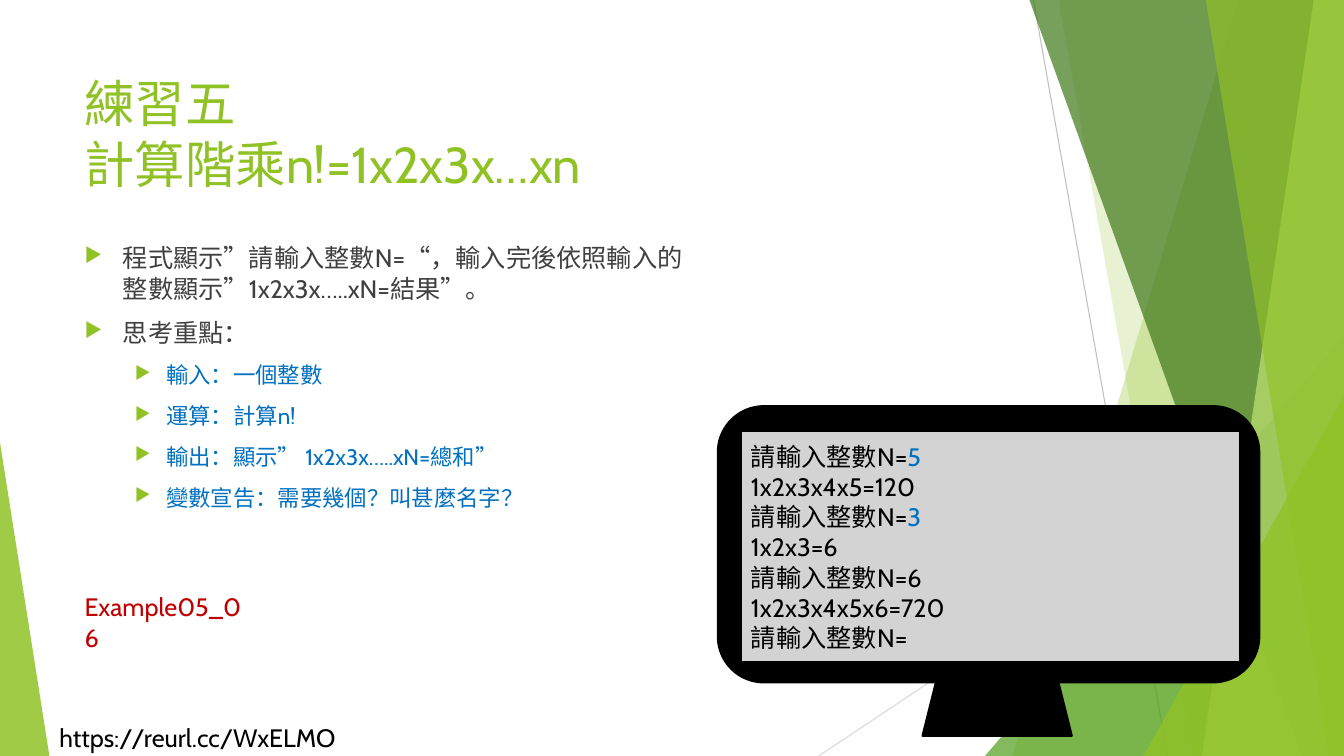
import pptx
import pptx.util
import pptx.dml.color
import pptx.enum.shapes
import pptx.enum.text
import pptx.oxml
import pptx.oxml.ns
from lxml import etree

Inches, Pt = pptx.util.Inches, pptx.util.Pt
MSO_SHAPE = pptx.enum.shapes.MSO_SHAPE
ANCHOR = pptx.enum.text.MSO_ANCHOR
qn = pptx.oxml.ns.qn

FONT = "Cabin"
WIDTH, HEIGHT = 13.33, 7.5
C = {
    "lime": "90C226", "green": "54A021", "forest": "3F7819", "pale": "C0E474",
    "text": "404040", "blue": "0070C0", "red": "C00000", "black": "000000",
    "screen": "D3D3D3", "ray": "BFBFBF", "light_ray": "D9D9D9",
}


def rgb(name):
    return pptx.dml.color.RGBColor.from_string(C[name])


def paint(sp, color, opacity=100, line=None):
    sp.shadow.inherit = False
    sp.fill.solid()
    sp.fill.fore_color.rgb = rgb(color)
    if opacity < 100:
        clr = sp.fill._xPr.find(qn("a:solidFill"))[0]
        etree.SubElement(clr, qn("a:alpha")).set("val", str(opacity * 1000))
    if line:
        sp.line.color.rgb = rgb(line)
        sp.line.width = Pt(1.5)
    else:
        sp.line.fill.background()


def add_shape(s, kind, box, color, opacity=100, line=None, adj=None):
    sp = s.shapes.add_shape(kind, *map(Inches, box))
    if adj is not None:
        sp.adjustments[0] = adj
    paint(sp, color, opacity, line)
    return sp


def add_run(p, text, size, color):
    r = p.add_run()
    r.text = text
    r.font.name = FONT
    r.font.size = Pt(size)
    r.font.color.rgb = rgb(color)


def add_text(s, box, lines, size, color, wrap=True):
    """Text box with one paragraph whose lines are parted by line breaks."""
    tf = s.shapes.add_textbox(*map(Inches, box)).text_frame
    tf.word_wrap = wrap
    p = tf.paragraphs[0]
    for i, line in enumerate(lines):
        if i:
            p.add_line_break()
        add_run(p, line, size, color)


def add_backdrop(s):
    """Thin rays and translucent facets along the slide's edges."""
    for x1, y1, x2, y2, color in ((10.25, 0, 11.58, HEIGHT, "ray"),
                                  (WIDTH, 4.03, 8.12, HEIGHT, "light_ray")):
        ray = s.shapes.add_connector(pptx.enum.shapes.MSO_CONNECTOR.STRAIGHT,
                                     *map(Inches, (x1, y1, x2, y2)))
        ray.line.color.rgb = rgb(color)
        ray.line.width = Pt(0.75)
        etree.SubElement(ray._element.spPr, qn("a:effectLst"))

    def facet(top_x, bottom_x, color, opacity):
        """Full-height facet from a slanted left side to the slide's right edge."""
        fb = s.shapes.build_freeform(Inches(top_x), 0)
        corners = ((WIDTH, 0), (WIDTH, HEIGHT), (bottom_x, HEIGHT))
        fb.add_line_segments([(Inches(x), Inches(y)) for x, y in corners], close=True)
        paint(fb.convert_to_shape(), color, opacity)

    def wedge(left, top, width, color, opacity, apex):
        add_shape(s, MSO_SHAPE.ISOSCELES_TRIANGLE, (left, top, width, HEIGHT - top),
                  color, opacity, adj=apex)

    facet(12.28, 10.04, "lime", 30)
    facet(10.5, 11.83, "lime", 20)
    wedge(9.77, 3.33, 3.56, "green", 72, 1)
    facet(10.21, 12.91, "forest", 70)
    facet(13.03, 11.92, "pale", 70)
    facet(11.96, 13.18, "lime", 65)
    wedge(11.34, 3.93, 1.99, "lime", 80, 1)
    wedge(0, 4.39, 0.49, "lime", 85, 0)


def add_bullets(s, box, items):
    tf = s.shapes.add_textbox(*map(Inches, box)).text_frame
    tf.word_wrap = True
    # level: left margin, hanging indent, size, colour
    levels = ((0.38, 0.38, 18, "text"), (0.81, 0.31, 16, "blue"))
    for i, (level, text) in enumerate(items):
        p = tf.paragraphs[0] if i == 0 else tf.add_paragraph()
        margin, hang, size, color = levels[level]
        p.level = level
        if i:
            p.space_before = Pt(10)
        pPr = p._p.get_or_add_pPr()
        pPr.set("marL", str(Inches(margin)))
        pPr.set("indent", str(-Inches(hang)))
        clr = etree.SubElement(pPr, qn("a:buClr"))
        etree.SubElement(clr, qn("a:srgbClr")).set("val", C["lime"])
        etree.SubElement(pPr, qn("a:buSzPct")).set("val", "80000")
        etree.SubElement(pPr, qn("a:buChar")).set("char", "▶")
        add_run(p, text, size, color)


def add_monitor(s, box, lines):
    """Computer monitor on a stand; each line is a prompt and the typed input."""
    x, y, w, h = box
    add_shape(s, MSO_SHAPE.ROUNDED_RECTANGLE, (x, y, w, 2.74), "black", line="black")
    screen = add_shape(s, MSO_SHAPE.RECTANGLE, (x + 0.23, y + 0.25, 4.95, 2.29),
                       "screen", line="black")
    add_shape(s, MSO_SHAPE.TRAPEZOID, (x + 2.03, y + 2.74, 1.48, h - 2.74),
              "black", line="black")
    tf = screen.text_frame
    tf.word_wrap = True
    tf.vertical_anchor = ANCHOR.MIDDLE
    for i, (shown, typed) in enumerate(lines):
        p = tf.paragraphs[0] if i == 0 else tf.add_paragraph()
        p.alignment = pptx.enum.text.PP_ALIGN.LEFT
        add_run(p, shown, 18, "black")
        if typed:
            add_run(p, typed, 18, "blue")


def main():
    prs = pptx.Presentation()
    prs.slide_width, prs.slide_height = Inches(WIDTH), Inches(HEIGHT)
    s = prs.slides.add_slide(prs.slide_layouts[6])
    add_backdrop(s)
    add_text(s, (0.49, 7.12, 3.12, 0.4), ["https://reurl.cc/WxELMO"], 18, "black",
             wrap=False)
    add_text(s, (0.74, 0.67, 9.4, 1.44), ["練習五", "計算階乘n!=1x2x3x…xn"], 36, "lime")
    add_bullets(s, (0.74, 2.36, 6.19, 4.24), [
        (0, "程式顯示”請輸入整數N=“，輸入完後依照輸入的整數顯示”1x2x3x…..xN=結果”。"),
        (0, "思考重點："),
        (1, "輸入：一個整數"),
        (1, "運算：計算n!"),
        (1, "輸出：顯示” 1x2x3x…..xN=總和”"),
        (1, "變數宣告：需要幾個？叫甚麼名字？"),
    ])
    prompt = "請輸入整數N="
    add_monitor(s, (7.12, 4.03, 5.37, 3.27), [
        (prompt, "5"), ("1x2x3x4x5=120", ""),
        (prompt, "3"), ("1x2x3=6", ""),
        (prompt + "6", ""), ("1x2x3x4x5x6=720", ""),
        (prompt, ""),
    ])
    add_text(s, (0.74, 5.82, 1.83, 0.4), ["Example05_06"], 18, "red")
    prs.save("out.pptx")


if __name__ == "__main__":
    main()
